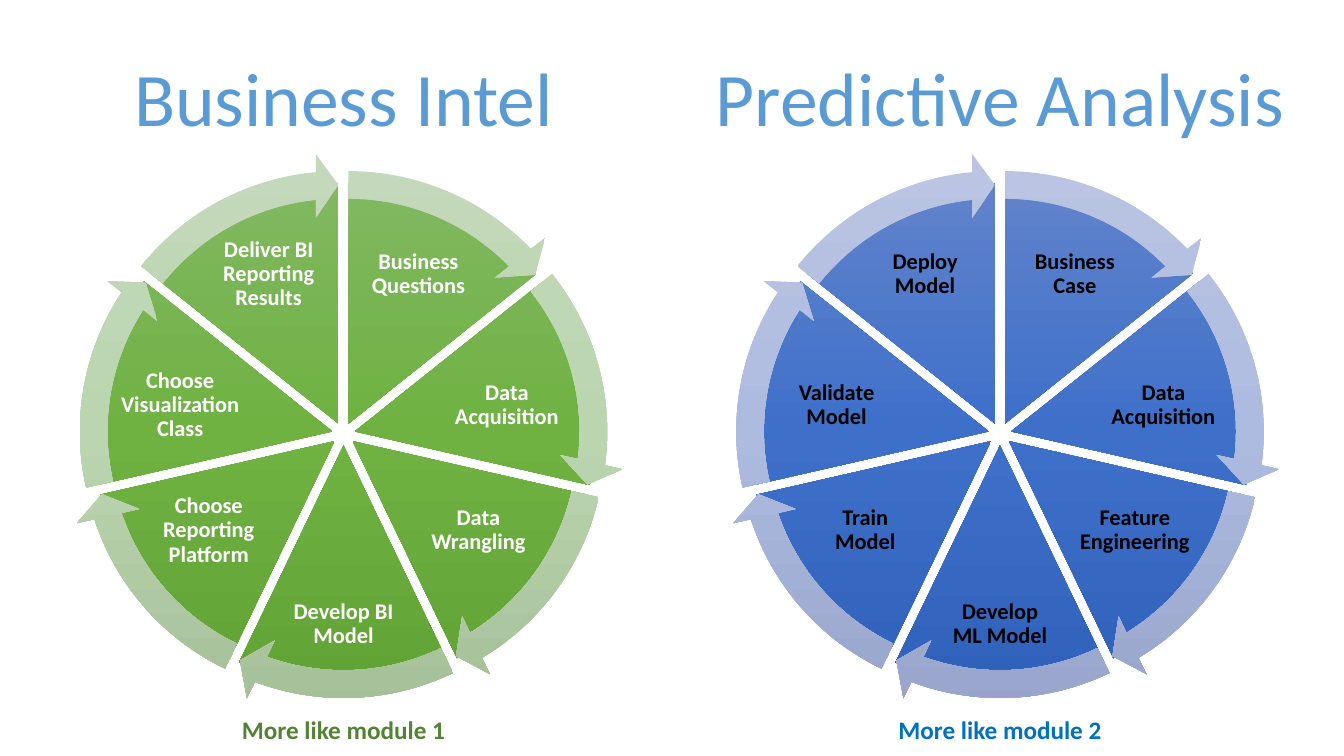
from copy import deepcopy
from math import cos, pi, sin

from pptx import Presentation
from pptx import util as u
from pptx.dml.color import RGBColor
from pptx.enum import shapes, text
from pptx.oxml.ns import qn

STEPS = 7
TURN = 216  # a full circle in adjustment units
CENTER_Y = 310
PIE_SIZE, RING_SIZE = 344, 386.6
GAP = 8.2  # distance of each wedge from the wheel's centre
HEAD_ANGLE = 3.275

# label centre relative to the wheel's centre, then width and height
RIGHT_LABELS = [(53.5, -114, 82, 66), (116.7, -20.5, 94, 58), (96.3, 69, 82, 63)]
LABEL_BOXES = (RIGHT_LABELS + [(0, 136, 80, 58)]
               + [(-x, y, w, h) for x, y, w, h in reversed(RIGHT_LABELS)])

WHEELS = [
    dict(cx=245.4, title="Business Intel", title_width=316.8,
         caption="More like module 1", caption_color="548235", label_color="FFFFFF",
         wedge_colors=("81B861", "6FB242", "62A336"),
         arrow_colors=("C4D9BB", "BAD5AF", "A5BF99"),
         labels=["Business Questions", "Data Acquisition", "Data Wrangling",
                 "Develop BI Model", "Choose Reporting Platform",
                 "Choose Visualization Class", "Deliver BI Reporting Results"]),
    dict(cx=714.3, title="Predictive Analysis", title_width=424.8,
         caption="More like module 2", caption_color="0070C0", label_color="000000",
         wedge_colors=("6183CB", "3E70CA", "3062BB"),
         arrow_colors=("BBC5E3", "AEBBE0", "98A4CB"),
         labels=["Business Case", "Data Acquisition", "Feature Engineering",
                 "Develop ML Model", "Train Model", "Validate Model", "Deploy Model"]),
]


def rgb(color):
    return RGBColor.from_string(color)


def centered(cx, cy, w, h):
    """Left, top, width and height of a box around a centre point."""
    return [u.Pt(v) for v in (cx - w / 2, cy - h / 2, w, h)]


class Deck:
    font = "Calibri"

    def __init__(self):
        self.prs = Presentation()
        self.prs.slide_width, self.prs.slide_height = u.Pt(960), u.Pt(540)
        self.slide = self.prs.slides.add_slide(self.prs.slide_layouts[6])

    def add_text(self, parent, content, box, size, color, bold=False, wrap=True,
                 inset=None, spacing=None, grow=False):
        tf = parent.add_textbox(*box).text_frame
        tf.word_wrap = wrap
        if grow:
            tf.auto_size = text.MSO_AUTO_SIZE.SHAPE_TO_FIT_TEXT
        else:
            tf.vertical_anchor = text.MSO_ANCHOR.MIDDLE
        if inset is not None:
            tf.margin_left = tf.margin_right = u.Pt(inset)
            tf.margin_top = tf.margin_bottom = u.Pt(inset)
        p = tf.paragraphs[0]
        p.alignment = text.PP_ALIGN.CENTER
        p.line_spacing = spacing
        r = p.add_run()
        r.text = content
        r.font.name, r.font.size, r.font.bold = self.font, u.Pt(size), bold
        r.font.color.rgb = rgb(color)

    def gradient_shape(self, parent, kind, box, adjustments, colors):
        sp = parent.add_shape(kind, *box)
        sp.shadow.inherit = False
        sp.line.fill.background()
        for i, value in enumerate(adjustments):
            sp.adjustments[i] = value
        sp.fill.gradient()
        sp.fill.gradient_angle = 270
        stops = sp.element.spPr.find(".//" + qn("a:gsLst"))
        stops.append(deepcopy(stops[0]))
        for stop, color, position in zip(sp.fill.gradient_stops, colors, (0, 0.5, 1)):
            stop.color.rgb = rgb(color)
            stop.position = position

    def wheel(self, cx, labels, label_color, wedge_colors, arrow_colors):
        group = self.slide.shapes.add_group_shape().shapes
        sectors = []
        for i in range(STEPS):
            middle = 2 * pi * (i + 0.5) / STEPS - pi / 2
            start, end = [(TURN * (0.75 + k / STEPS)) % TURN for k in (i, i + 1)]
            sectors.append((cx + GAP * cos(middle), CENTER_Y + GAP * sin(middle), start, end))

        for (x, y, start, end), label, (dx, dy, w, h) in zip(sectors, labels, LABEL_BOXES):
            self.gradient_shape(group, shapes.MSO_SHAPE.PIE,
                                centered(x, y, PIE_SIZE, PIE_SIZE), (start, end), wedge_colors)
            self.add_text(group, label, centered(cx + dx, CENTER_Y + dy, w, h), 16,
                          label_color, bold=True, inset=1.6, spacing=0.9)
        for x, y, start, end in sectors:
            self.gradient_shape(group, shapes.MSO_SHAPE.CIRCULAR_ARROW,
                                centered(x, y, RING_SIZE, RING_SIZE),
                                (0.051, HEAD_ANGLE, end - HEAD_ANGLE, start, 0.059),
                                arrow_colors)

    def heading(self, cx, content, width):
        self.add_text(self.slide.shapes, content, centered(cx, 69.5, width, 72.7), 54,
                      "5B9BD5", wrap=False, grow=True)

    def caption(self, cx, content, color):
        self.add_text(self.slide.shapes, content, centered(cx, 521.4, 288, 29), 18,
                      color, bold=True, grow=True)


def main():
    deck = Deck()
    for w in WHEELS:
        deck.wheel(w["cx"], w["labels"], w["label_color"], w["wedge_colors"], w["arrow_colors"])
        deck.heading(w["cx"], w["title"], w["title_width"])
        deck.caption(w["cx"], w["caption"], w["caption_color"])
    deck.prs.save("out.pptx")


if __name__ == "__main__":
    main()
